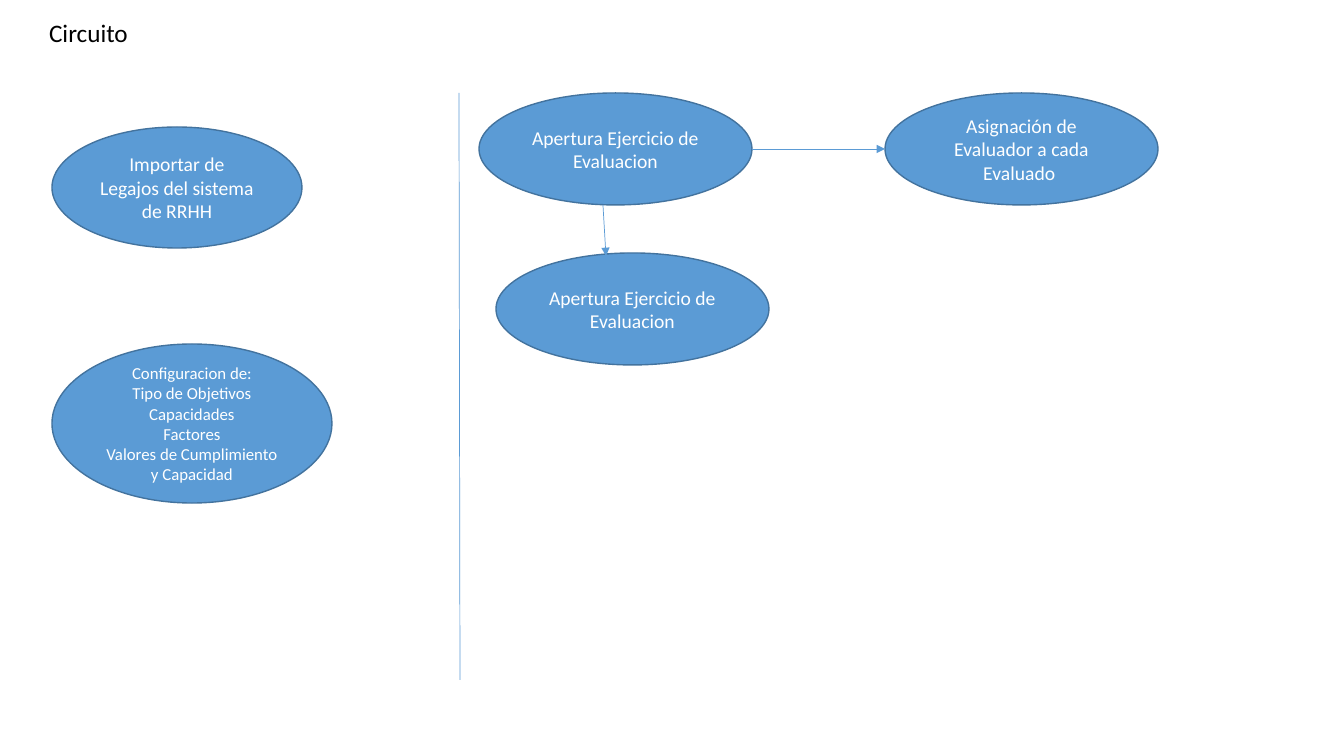
from lxml import etree
from pptx import Presentation
from pptx import util as u
from pptx.dml.color import RGBColor
from pptx.enum import shapes, text
from pptx.oxml.ns import qn

BLUE, EDGE, WHITE, BLACK = "5B9BD5", "43739E", "FFFFFF", "000000"


def px(n):
    """Turn pixels into EMU."""
    return u.Emu(round(n * 914400 / 100.8))


def color(code):
    """Turn a hex string into a colour."""
    return RGBColor.from_string(code)


def write(frame, lines, size, ink, align):
    """Fill a text frame with one paragraph per line."""
    frame.text = "\n".join(lines)
    frame.word_wrap = True
    for para in frame.paragraphs:
        para.alignment = align
        para.font.name = "Calibri"
        para.font.size = u.Pt(size)
        para.font.color.rgb = color(ink)


def oval(slide, box, lines, size=14):
    """Draw one step of the circuit."""
    step = slide.shapes.add_shape(shapes.MSO_SHAPE.OVAL, *map(px, box))
    step.shadow.inherit = False
    step.fill.solid()
    step.fill.fore_color.rgb = color(BLUE)
    step.line.color.rgb = color(EDGE)
    step.line.width = u.Pt(1)
    step.text_frame.vertical_anchor = text.MSO_ANCHOR.MIDDLE
    write(step.text_frame, lines, size, WHITE, text.PP_ALIGN.CENTER)


def link(slide, start, end, arrow=True):
    """Draw a thin line, with an arrowhead when asked."""
    line = slide.shapes.add_connector(
        shapes.MSO_CONNECTOR.STRAIGHT, *map(px, start + end))
    line.line.color.rgb = color(BLUE)
    line.line.width = u.Pt(0.5)
    if arrow:
        etree.SubElement(line.line._get_or_add_ln(), qn("a:tailEnd"), type="triangle")
    etree.SubElement(line._element.spPr, qn("a:effectLst"))


def head(slide, box):
    """Place the slide title."""
    title = slide.shapes.title
    title.left, title.top, title.width, title.height = map(px, box)
    frame = title.text_frame
    frame.auto_size = text.MSO_AUTO_SIZE.NONE
    frame.vertical_anchor = text.MSO_ANCHOR.TOP
    write(frame, ["Circuito"], 18, BLACK, text.PP_ALIGN.LEFT)


def setup(slide, box):
    """Place the preparatory steps and the divider on their right."""
    x, y, w, h = box
    oval(slide, (x, y + 34, 250, 121), ["Importar de Legajos del sistema de RRHH"])
    oval(slide, (x, y + 251, 280, 159),
         ["Configuracion de:", "Tipo de Objetivos", "Capacidades", "Factores",
          "Valores de Cumplimiento y Capacidad"], 12)
    link(slide, (x + w - 1, y), (x + w, y + h), False)


def flow(slide, box):
    """Place the evaluation steps and their arrows."""
    x, y, w, h = box
    wide, tall = 273, 112
    far, low = x + w - wide, y + h - tall
    opening = ["Apertura Ejercicio de Evaluacion"]
    oval(slide, (x, y, wide, tall), opening)
    oval(slide, (x + 17, low, wide, tall), opening)
    oval(slide, (far, y, wide, tall), ["Asignación de Evaluador a cada Evaluado "])
    link(slide, (x + 124, y + tall), (x + 127, low + 3))
    link(slide, (x + wide, y + tall // 2), (far, y + tall // 2))


def main():
    """Build and save the slide."""
    deck = Presentation()
    deck.slide_width, deck.slide_height = px(1344), px(756)
    slide = deck.slides.add_slide(deck.slide_layouts[5])
    head(slide, (39, 12, 749, 40))
    setup(slide, (52, 93, 408, 587))
    flow(slide, (479, 93, 679, 272))
    deck.save("out.pptx")


main()
